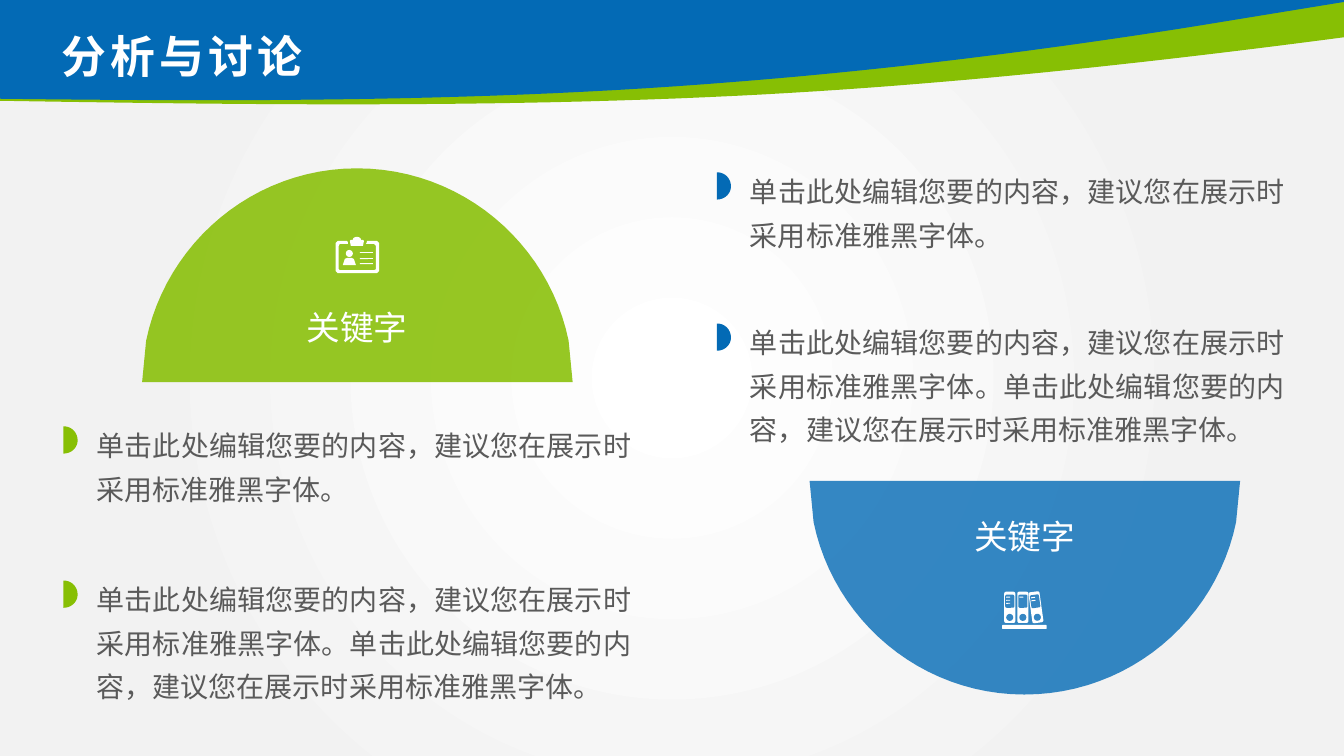
from lxml.etree import SubElement
from pptx import Presentation
from pptx.dml.color import RGBColor
from pptx.enum.lang import MSO_LANGUAGE_ID
from pptx.enum.shapes import MSO_SHAPE
from pptx.enum.text import MSO_ANCHOR, PP_ALIGN
from pptx.oxml.ns import qn
from pptx.util import Inches, Pt

WIDTH, HEIGHT = 13.33, 7.5
BLUE, GREEN, WHITE, GREY = "036AB5", "87BF04", "FFFFFF", "5A5A5A"
BINDER_GAP = "3586C3"
SENTENCE = "单击此处编辑您要的内容，建议您在展示时采用标准雅黑字体。"
BULLET_INDENT = 0.23

GREEN_BAND = [(0, 1), (2.44, 1.04, 4.88, 1.07, 7.32, 0.95),
              (9.34, 0.85, 11.35, 0.63, 13.33, 0.37), (13.33, 0),
              (11.35, 0.35, 9.34, 0.64, 7.32, 0.8),
              (4.88, 0.99, 2.44, 1, 0, 0.97)]
BLUE_BAND = [(0, 0), (13.33, 0), (13.33, 0.02), (11.86, 0.26),
             (10.35, 0.5, 8.83, 0.69, 7.32, 0.81),
             (4.88, 1.01, 2.44, 1.01, 0, 0.98)]
DOME = [(2.13, 0), (3.17, 0, 4.03, 0.74, 4.23, 1.71), (4.27, 2.12),
        (0, 2.12), (0.04, 1.71), (0.24, 0.74, 1.1, 0, 2.13, 0)]
BULLET = [(0, 0), (0.08, 0, 0.14, 0.06, 0.14, 0.14),
          (0.14, 0.21, 0.08, 0.27, 0, 0.27)]
BADGE_FRAME = [(0.02, 0.04), (0.11, 0.04), (0.12, 0.05), (0.12, 0.07),
               (0.04, 0.07), (0.03, 0.09), (0.03, 0.32), (0.04, 0.33),
               (0.38, 0.33), (0.4, 0.32), (0.4, 0.09), (0.38, 0.07),
               (0.3, 0.07), (0.31, 0.05), (0.31, 0.04), (0.41, 0.04),
               (0.43, 0.06), (0.43, 0.34), (0.41, 0.36), (0.02, 0.36),
               (0, 0.34), (0, 0.06)]
BADGE_CLIP = [(0.15, 0.09), (0.14, 0.04), (0.15, 0.03), (0.17, 0.03),
              (0.17, 0.01, 0.19, 0, 0.21, 0), (0.23, 0, 0.25, 0.01, 0.25, 0.03),
              (0.27, 0.03), (0.28, 0.04), (0.27, 0.09)]
BADGE_BODY = [(0.07, 0.28), (0.09, 0.22), (0.11, 0.21), (0.16, 0.21),
              (0.18, 0.22), (0.2, 0.28)]


def color(value):
    """Turn a hex string into a colour."""
    return RGBColor.from_string(value)


def paint(shape, fill, opacity=100):
    """Give a shape a flat fill without line or shadow."""
    shape.shadow.inherit = False
    shape.line.fill.background()
    shape.fill.solid()
    shape.fill.fore_color.rgb = color(fill)
    if opacity < 100:
        alpha = SubElement(shape.fill._xPr.find(".//" + qn("a:srgbClr")), qn("a:alpha"))
        alpha.set("val", str(opacity * 1000))


def trace(outline, steps=24):
    """Turn line ends and cubic curves into a list of points."""
    points = [outline[0]]
    for part in outline[1:]:
        if len(part) == 2:
            points.append(part)
            continue
        knots = [points[-1], part[:2], part[2:4], part[4:]]
        for step in range(1, steps + 1):
            t = step / steps
            weights = ((1 - t) ** 3, 3 * t * (1 - t) ** 2, 3 * t * t * (1 - t), t ** 3)
            points.append(tuple(sum(weight * knot[axis] for weight, knot in zip(weights, knots))
                                for axis in (0, 1)))
    return points


def add_outline(shapes, outline, left, top, fill, opacity=100, flip=0):
    """Draw a closed outline at a place, upside down within the flip height."""
    points = [(Inches(left + x), Inches(top + (flip - y if flip else y)))
              for x, y in trace(outline)]
    builder = shapes.build_freeform(*points[0], scale=1.0)
    builder.add_line_segments(points[1:], close=True)
    paint(builder.convert_to_shape(), fill, opacity)


def add_preset(shapes, kind, left, top, width, height, fill):
    """Draw a preset shape in a box."""
    shape = shapes.add_shape(kind, Inches(left), Inches(top), Inches(width), Inches(height))
    paint(shape, fill)


def write(frame, text, size, fill, alignment, spacing, font="Calibri"):
    """Write one formatted run in a text frame and return its font."""
    frame.word_wrap = True
    paragraph = frame.paragraphs[0]
    paragraph.alignment = alignment
    paragraph.line_spacing = spacing
    run = paragraph.add_run()
    run.text = text
    run.font.size = Pt(size)
    run.font.color.rgb = color(fill)
    run.font.name = font
    run.font.language_id = MSO_LANGUAGE_ID.SIMPLIFIED_CHINESE
    SubElement(run.font._element, qn("a:ea")).set("typeface", font)
    return run.font


def add_text(slide, box, *style):
    """Place a text box with one run."""
    write(slide.shapes.add_textbox(*map(Inches, box)).text_frame, *style)


def add_background(slide):
    """Fill the slide with a round gradient from white to light grey."""
    fill = slide.background.fill
    fill.gradient()
    for stop, position, value in zip(fill.gradient_stops, (0, 0.73), (WHITE, "F2F2F2")):
        stop.position = position
        stop.color.rgb = color(value)
    gradient = slide._element.find(".//" + qn("a:gradFill"))
    gradient.remove(gradient.find(qn("a:lin")))
    circle = SubElement(gradient, qn("a:path"), {"path": "circle"})
    SubElement(circle, qn("a:fillToRect"), dict.fromkeys("ltrb", "50000"))


def add_header(slide, text):
    """Draw the two curved bands and set the title on them."""
    add_outline(slide.shapes, GREEN_BAND, 0, 0, GREEN)
    add_outline(slide.shapes, BLUE_BAND, 0, 0, BLUE)
    title = slide.shapes.title
    title.left, title.top, title.width, title.height = map(Inches, (0.51, 0.29, 6.73, 0.59))
    title.text_frame.vertical_anchor = MSO_ANCHOR.MIDDLE
    font = write(title.text_frame, text, 32, WHITE, PP_ALIGN.LEFT, 0.9, "Noto Sans CJK SC")
    font.bold = True
    font._element.set("spc", "300")
    slide.shapes._spTree.append(title._element)


def add_dome(slide, left, top, fill, opacity, label_top, flip=0):
    """Draw a half disc with its keyword."""
    add_outline(slide.shapes, DOME, left, top, fill, opacity, flip)
    add_text(slide, (left + 1.29, top + label_top, 1.68, 0.5),
             "关键字", 24, WHITE, PP_ALIGN.CENTER, 1.0)


def add_badge(slide, left, top):
    """Draw the identity badge icon."""
    shapes = slide.shapes.add_group_shape().shapes
    for outline in (BADGE_FRAME, BADGE_CLIP, BADGE_BODY):
        add_outline(shapes, outline, left, top, WHITE)
    add_preset(shapes, MSO_SHAPE.OVAL, left + 0.1, top + 0.13, 0.07, 0.07, WHITE)
    for offset in (0.15, 0.21, 0.26):
        add_preset(shapes, MSO_SHAPE.ROUNDED_RECTANGLE,
                   left + 0.24, top + offset, 0.13, 0.01, WHITE)


def add_binder(slide, left, top, strips, angle):
    """Draw one ring binder with strips on its label."""
    group = slide.shapes.add_group_shape()
    rounded = MSO_SHAPE.ROUNDED_RECTANGLE
    add_preset(group.shapes, rounded, left, top, 0.11, 0.31, WHITE)
    add_preset(group.shapes, rounded, left + 0.01, top + 0.03, 0.09, 0.13, BINDER_GAP)
    add_preset(group.shapes, MSO_SHAPE.OVAL, left + 0.02, top + 0.22, 0.07, 0.07, BINDER_GAP)
    for strip in range(strips):
        add_preset(group.shapes, rounded, left + 0.02, top + 0.05 + 0.03 * strip,
                   0.04, 0.01, WHITE)
    group.rotation = angle


def add_binders(slide, left, top):
    """Draw three binders on a shelf."""
    for index, (strips, angle) in enumerate(((3, 0), (1, 0), (2, -8))):
        add_binder(slide, left + 0.02 + 0.13 * index, top, strips, angle)
    add_preset(slide.shapes, MSO_SHAPE.ROUNDED_RECTANGLE, left, top + 0.33, 0.44, 0.04, WHITE)


def add_points(slide, left, points, fill):
    """Write bulleted paragraphs at the given heights."""
    for top, repeats in points:
        add_text(slide, (left + BULLET_INDENT, top, 5.5, 0.1 + 0.44 * (repeats + 1)),
                 SENTENCE * repeats, 20, GREY, PP_ALIGN.JUSTIFY, 1.3)
        add_outline(slide.shapes, BULLET, left, top + 0.13, fill)


def main():
    """Build and save the slide."""
    presentation = Presentation()
    presentation.slide_width, presentation.slide_height = Inches(WIDTH), Inches(HEIGHT)
    slide = presentation.slides.add_slide(presentation.slide_layouts[5])
    add_background(slide)
    add_header(slide, "分析与讨论")
    add_dome(slide, 1.41, 1.67, GREEN, 87, 1.33)
    add_dome(slide, 8.03, 4.77, BLUE, 80, 0.3, flip=2.12)
    add_badge(slide, 3.33, 2.35)
    add_binders(slide, 9.94, 5.87)
    add_points(slide, 0.63, ((4.1, 1), (5.63, 2)), GREEN)
    add_points(slide, 7.11, ((1.58, 1), (3.08, 2)), BLUE)
    presentation.save("out.pptx")


if __name__ == "__main__":
    main()
